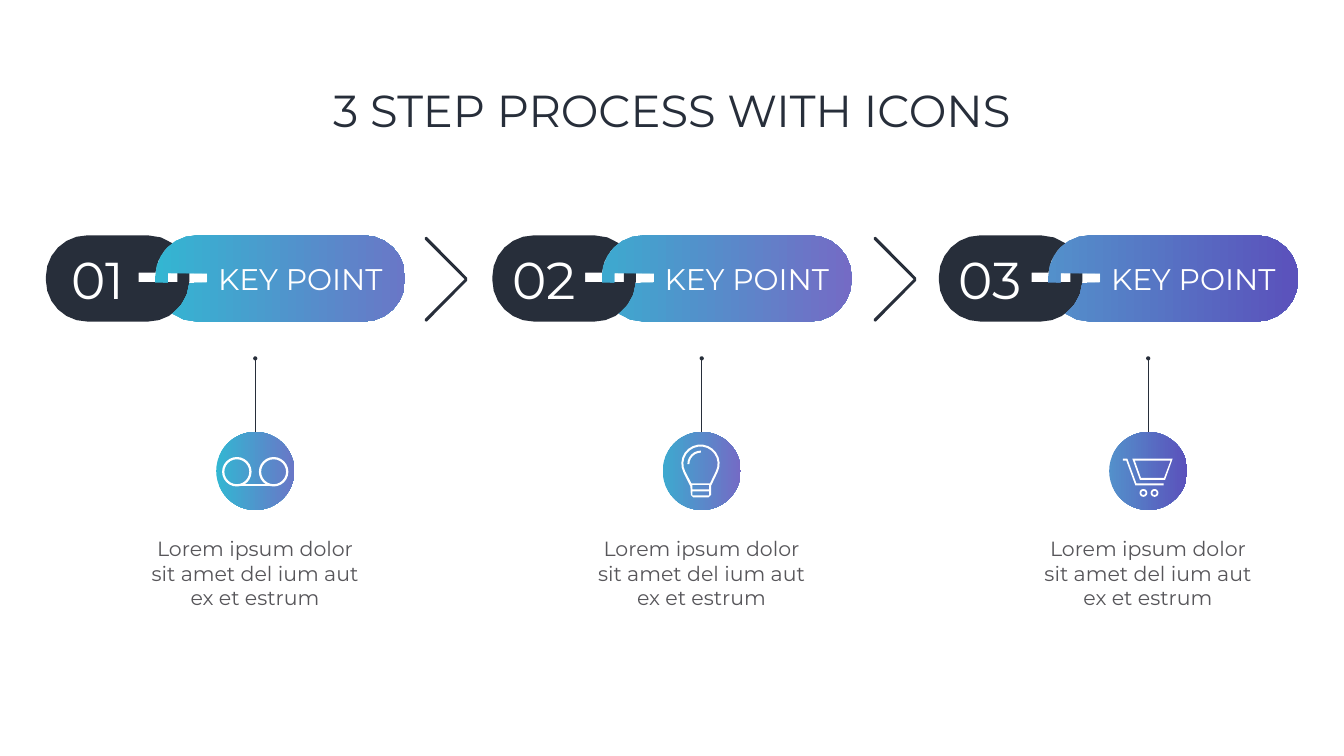
from math import cos, radians, sin

from lxml import etree
from pptx import Presentation
from pptx.dml.color import RGBColor
from pptx.enum.shapes import MSO_CONNECTOR, MSO_SHAPE
from pptx.enum.text import MSO_ANCHOR, MSO_AUTO_SIZE, PP_ALIGN
from pptx.oxml.ns import qn
from pptx.util import Pt

PX = 9144  # 100 px to the inch
STRAIGHT = MSO_CONNECTOR.STRAIGHT
OVAL = MSO_SHAPE.OVAL
MIDDLE = MSO_ANCHOR.MIDDLE
GROW = MSO_AUTO_SIZE.SHAPE_TO_FIT_TEXT
CENTER = PP_ALIGN.CENTER

FONT = "Montserrat"
DARK, WHITE, GREY = "272E3A", "FFFFFF", "57565A"
PITCH = 886
TOP, BOTTOM = 549, 556  # centre heights of the pills' upper and lower corners
RADIUS = 82
DETAIL = "Lorem ipsum dolor sit amet del ium aut ex et estrum"


def paint(fill, *colours):
    """Fill with one solid colour, or with a left-to-right gradient of two."""
    if len(colours) == 1:
        fill.solid()
        fill.fore_color.rgb = RGBColor.from_string(colours[0])
        return
    fill.gradient()
    fill.gradient_angle = 0
    for stop, colour in zip(fill.gradient_stops, colours):
        stop.color.rgb = RGBColor.from_string(colour)


def arc(cx, cy, radius, start, end):
    """Points along a circle, in degrees clockwise from the right."""
    count = max(2, abs(end - start) // 15)
    angles = [radians(start + (end - start) * n / count) for n in range(count + 1)]
    return [(cx + radius * cos(a), cy + radius * sin(a)) for a in angles]


# Each icon has outlines, as lists of contours, and rings: x, y, radius, line in points
voicemail = (
    [[[(470, 961), (543, 961), (543, 965), (470, 965)]]],
    [(470, 936, 27, 3.2), (543, 936, 27, 3.2)],
)
bulb = (
    [
        [
            arc(1390, 920, 38, 152, 388) + [(1411, 964), (1411, 982), (1406, 987),
                                            (1376, 987), (1371, 982), (1370, 965)],
            [(1374, 975), (1407, 975), (1407, 983), (1374, 983)],
            [(1374, 962), (1407, 962), (1407, 971), (1374, 971)],
            arc(1390, 920, 34, 152, 388) + [(1409, 959), (1372, 959)],
        ],
        [arc(1391, 921, 27, 180, 270) + arc(1391, 921, 23, 270, 180)],
    ],
    [],
)
cart = (
    [
        [[(2228, 910), (2237, 910), (2255, 959), (2309, 959),
          (2309, 963), (2253, 963), (2235, 914), (2228, 914)]],
        [[(2247, 910), (2327, 910), (2312, 952), (2262, 952)],
         [(2252, 914), (2323, 914), (2310, 948), (2264, 948)]],
    ],
    [(2269, 978, 6, 2.5), (2291, 978, 6, 2.5)],
)
steps = [
    ("01", ("33B6D2", "6977C7"), voicemail),
    ("02", ("3DA9CF", "746BC5"), bulb),
    ("03", ("5390CB", "5B51BB"), cart),
]

# Two interlocking links, measured from the left edge of a step
number_link = (
    [(261, 560), (184, 560), (184, 541), (218, 541)]
    + arc(299, TOP, RADIUS, 186, 235)
    + arc(203, TOP, RADIUS, 306, 270)
    + arc(82, TOP, RADIUS, 270, 180)
    + arc(82, BOTTOM, RADIUS, 180, 90)
    + arc(203, BOTTOM, RADIUS, 90, 0)
    + [(285, 542), (261, 542)]
)
point_link = (
    arc(631, TOP, RADIUS, 270, 360)
    + arc(631, BOTTOM, RADIUS, 0, 90)
    + arc(299, BOTTOM, RADIUS, 90, 126)
    + arc(203, BOTTOM, RADIUS, 54, 4)
    + [(321, 561), (321, 542), (242, 542), (242, 561), (217, 561)]
    + arc(299, TOP, RADIUS, 180, 270)
)
chevron = [(5, 470), (85, 551), (85, 557), (5, 638), (1, 637),
           (1, 633), (80, 554), (1, 475), (1, 471)]

prs = Presentation()
prs.slide_width, prs.slide_height = 2667 * PX, 1500 * PX
slide = prs.slides.add_slide(prs.slide_layouts[5])
shapes = slide.shapes

title = shapes.title
title.left, title.top, title.width, title.height = 183 * PX, 80 * PX, 2300 * PX, 290 * PX
title.text_frame.text = "3 STEP PROCESS WITH ICONS"
title.text_frame.vertical_anchor = MIDDLE
heading = title.text_frame.paragraphs[0]
heading.alignment = CENTER
heading.line_spacing = 0.9
heading.font.size = Pt(64)
heading.font.name = FONT
paint(heading.font.fill, DARK)

outlines = []  # canvas, contours, colours, label with size and side insets
for i, (number, colours, (icon_outlines, rings)) in enumerate(steps):
    left = 91 + i * PITCH
    badge = shapes.add_shape(OVAL, (left + 338) * PX, 857 * PX, 155 * PX, 155 * PX)
    badge.shadow.inherit = False
    badge.line.fill.background()
    paint(badge.fill, *colours)

    middle = badge.left + badge.width // 2
    stem = shapes.add_connector(STRAIGHT, middle, 857 * PX, middle, 711 * PX)
    stem.begin_connect(badge, 0)
    stem.line.width = Pt(1)
    paint(stem.line.fill, DARK)
    etree.SubElement(stem.line._get_or_add_ln(), qn("a:tailEnd"), type="oval")
    etree.SubElement(stem._element.spPr, qn("a:effectLst"))

    detail = shapes.add_textbox((left + 198) * PX, 1059 * PX, 434 * PX, 158 * PX)
    detail.text_frame.word_wrap = True
    detail.text_frame.auto_size = GROW
    detail.text_frame.text = DETAIL
    paragraph = detail.text_frame.paragraphs[0]
    paragraph.alignment = CENTER
    paragraph.font.size = Pt(29.3)
    paragraph.font.name = FONT
    paint(paragraph.font.fill, GREY)

    icon = shapes.add_group_shape().shapes
    for x, y, radius, weight in rings:
        ring = icon.add_shape(OVAL, (x - radius) * PX, (y - radius) * PX,
                              2 * radius * PX, 2 * radius * PX)
        ring.shadow.inherit = False
        ring.fill.background()
        ring.line.width = Pt(weight)
        paint(ring.line.fill, WHITE)
    outlines += [(icon, contours, [WHITE], None) for contours in icon_outlines]

    for link, fills, label in (
        (number_link, [DARK], (number, 74, 20, 100)),
        (point_link, colours, ("KEY POINT", 42.6, 120, 40)),
    ):
        outlines.append((shapes, [[(left + x, y) for x, y in link]], fills, label))
    if i < len(steps) - 1:
        arrow = [(842 + i * 891 + x, y) for x, y in chevron]
        outlines.append((shapes, [arrow], [DARK], None))

for canvas, contours, fills, label in outlines:
    builder = None
    for contour in contours:
        points = [(x * PX, y * PX) for x, y in contour]
        if builder is None:
            builder = canvas.build_freeform(*points[0])
        else:
            builder.move_to(*points[0])
        builder.add_line_segments(points[1:], close=True)
    outline = builder.convert_to_shape()
    outline.shadow.inherit = False
    outline.line.fill.background()
    paint(outline.fill, *fills)
    if label:
        text, size, inset_left, inset_right = label
        frame = outline.text_frame
        frame.margin_left, frame.margin_right = inset_left * PX, inset_right * PX
        frame.word_wrap = True
        frame.vertical_anchor = MIDDLE
        frame.text = text
        paragraph = frame.paragraphs[0]
        paragraph.alignment = CENTER
        paragraph.font.size = Pt(size)
        paragraph.font.name = FONT
        paint(paragraph.font.fill, WHITE)

prs.save("out.pptx")
